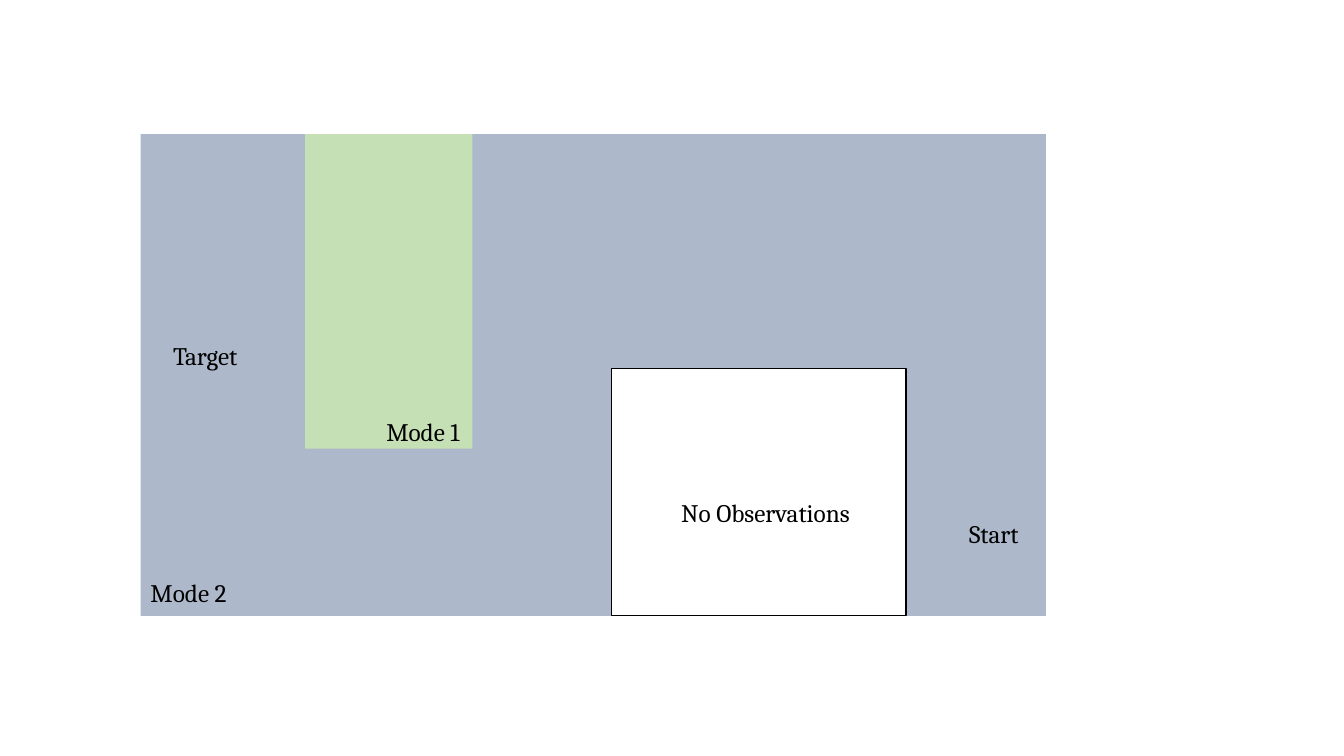
"""Build a slide mapping the two mode regions, the unobserved block, and the start and target."""
from pptx import Presentation, util as u
from pptx.dml import color
from pptx.enum import shapes, text

COLORS = {"mode 2": "ADB9CA", "mode 1": "C5E0B4", "unobserved": "FFFFFF", "ink": "000000"}

deck = Presentation()
deck.slide_width, deck.slide_height = u.Pt(960), u.Pt(540)
slide = deck.slides.add_slide(deck.slide_layouts[6])

regions = [
    ("mode 2", 100.4, 95.8, 646.6, 344.2),
    ("mode 1", 218, 95.8, 119.5, 224.6),
    ("unobserved", 437, 263.1, 210.2, 176.7),
]
for name, *box in regions:
    region = slide.shapes.add_shape(shapes.MSO_SHAPE.RECTANGLE, *map(u.Pt, box))
    region.shadow.inherit = False
    region.fill.solid()
    region.fill.fore_color.rgb = color.RGBColor.from_string(COLORS[name])
    if name == "unobserved":
        region.line.color.rgb = color.RGBColor.from_string(COLORS["ink"])
        region.line.width = u.Pt(1)
    else:
        region.line.fill.background()

labels = [
    ("No Observations", 479.5, 351.5, 147.6),
    ("Mode 1", 268.8, 293.5, 87.8),
    ("Mode 2", 100.4, 408.8, 87.8),
    ("Start", 685.1, 366.5, 80.6),
    ("Target", 116.5, 239.6, 87.8),
]
for wording, left, top, width in labels:
    label = slide.shapes.add_textbox(u.Pt(left), u.Pt(top), u.Pt(width), u.Pt(29)).text_frame
    label.word_wrap = True
    label.auto_size = text.MSO_AUTO_SIZE.SHAPE_TO_FIT_TEXT
    run = label.paragraphs[0].add_run()
    run.text = wording
    run.font.name = "Cambria"
    run.font.size = u.Pt(18)
    run.font.color.rgb = color.RGBColor.from_string(COLORS["ink"])

deck.save("out.pptx")
